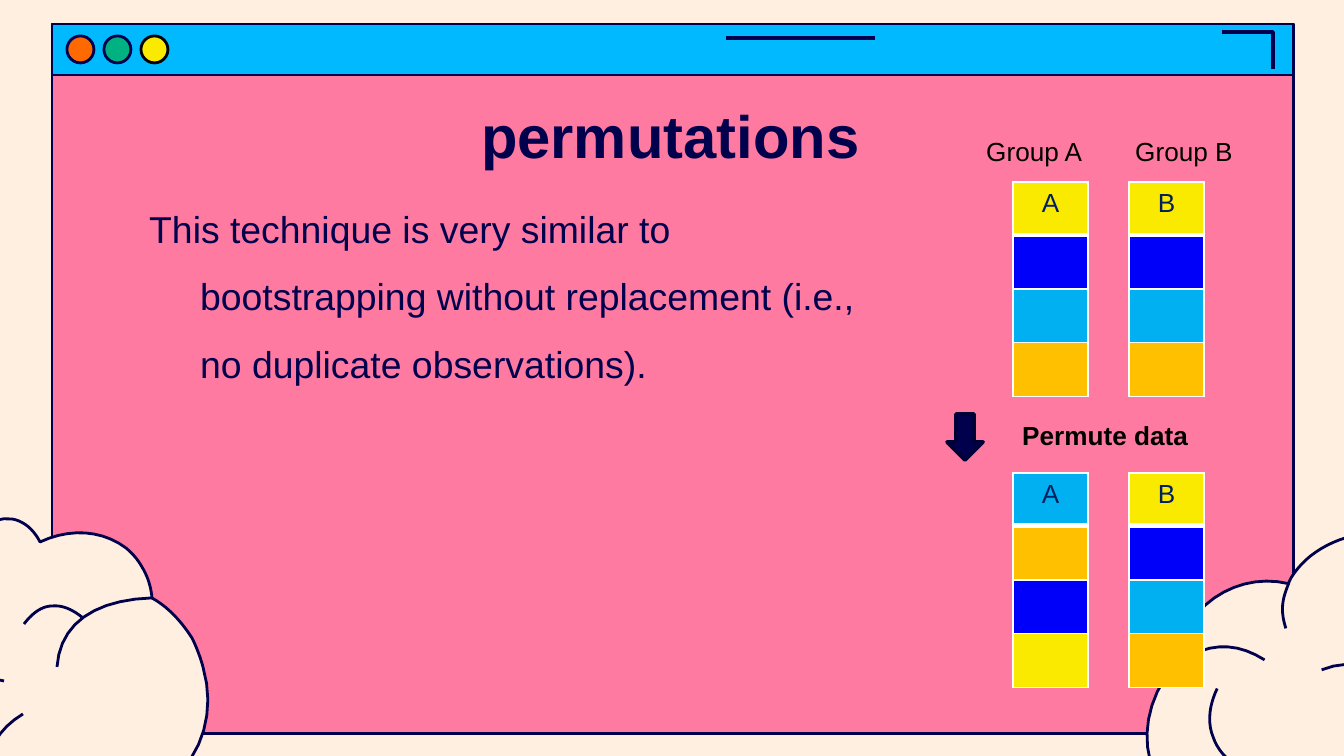
import math

from pptx import Presentation
from pptx.dml.color import RGBColor
from pptx.enum.shapes import MSO_CONNECTOR, MSO_SHAPE
from pptx.enum.text import PP_ALIGN
from pptx.oxml.ns import qn
from pptx.oxml.xmlchemy import OxmlElement
from pptx.util import Pt

RECT, OVAL, ARROW = MSO_SHAPE.RECTANGLE, MSO_SHAPE.OVAL, MSO_SHAPE.RIGHT_ARROW
STRAIGHT = MSO_CONNECTOR.STRAIGHT
LEFT, CENTER = PP_ALIGN.LEFT, PP_ALIGN.CENTER

W, H = 1344, 756
PX = 9144000 / W

THEME = {
    "cream": "FFEFE1", "pink": "FF7AA1", "sky": "00B9FF", "ink": "00004D",
    "orange": "FF6A00", "green": "00B181", "yellow": "FAEA00", "black": "000000",
    "blue": "0000FA", "cyan": "00B0F0", "amber": "FFC000", "white": "FFFFFF",
    "navy": "002060", "edge": "000039",
    "title": {"name": "Arial", "size": Pt(32), "bold": True},
    "body": {"name": "Arial", "size": Pt(20), "bold": False},
    "label": {"name": "Arial", "size": Pt(14), "bold": False},
    "strong": {"name": "Arial", "size": Pt(14), "bold": True},
}


def paint(sp, fill, line="ink", width=1.5):
    sp.shadow.inherit = False
    if fill:
        sp.fill.solid()
        sp.fill.fore_color.rgb = RGBColor.from_string(THEME[fill])
    else:
        sp.fill.background()
    sp.line.color.rgb = RGBColor.from_string(THEME[line])
    sp.line.width = Pt(width)


def write(tf, text, style, color, align=LEFT):
    """Put one formatted run in the first paragraph and return the paragraph."""
    p = tf.paragraphs[0]
    p.alignment = align
    r = p.add_run()
    r.text = text
    for name, value in THEME[style].items():
        setattr(r.font, name, value)
    r.font.color.rgb = RGBColor.from_string(THEME[color])
    return p


prs = Presentation()
prs.slide_width, prs.slide_height = round(W * PX), round(H * PX)
s = prs.slides.add_slide(prs.slide_layouts[6])
s.background.fill.solid()
s.background.fill.fore_color.rgb = RGBColor.from_string(THEME["cream"])

# Window frame, title bar and its buttons
for kind, box, fill, line in [
    (RECT, (52, 24, 1242, 710), "pink", "ink"),
    (RECT, (52, 24, 1242, 51), "sky", "ink"),
    (OVAL, (67, 36, 27, 27), "orange", "ink"),
    (OVAL, (104, 36, 27, 27), "green", "ink"),
    (OVAL, (141, 36, 27, 27), "yellow", "black"),
]:
    sp = s.shapes.add_shape(kind, *(round(v * PX) for v in box))
    paint(sp, fill, line)

bar = s.shapes.add_connector(STRAIGHT, *(round(v * PX) for v in (726, 38, 875, 38)))
bar.line.color.rgb = RGBColor.from_string(THEME["ink"])
bar.line.width = Pt(2)
bar._element.spPr.append(OxmlElement("a:effectLst"))

fb = s.shapes.build_freeform(1222, 32, scale=PX)
fb.add_line_segments([(1273, 32), (1273, 69)], close=False)
paint(fb.convert_to_shape(), None, width=2)

# One cloud: start point, then three Bezier points per curve
CLOUD_CENTER = (60, 677)
CLOUD_OUTLINE = [
    (-43, 765), (-35, 780), (-24, 790), (-11, 798), (-9, 802), (-7, 808), (-4, 812),
    (23, 856), (74, 875), (112, 853), (132, 841), (144, 818), (146, 793),
    (194, 777), (219, 722), (203, 667), (200, 656), (196, 646), (192, 638),
    (181, 621), (168, 607), (152, 598), (151, 587), (148, 577), (142, 567),
    (138, 560), (133, 554), (126, 548), (102, 530), (70, 528), (40, 542),
    (34, 530), (24, 521), (12, 519), (-16, 515), (-44, 546), (-51, 587),
    (-55, 610), (-51, 633), (-42, 649), (-40, 653), (-38, 656), (-35, 659),
    (-59, 688), (-63, 730), (-43, 765),
]
CLOUD_FOLDS = [
    [(57, 667), (60, 624), (94, 600), (152, 598)],
    [(-11, 798), (-19, 761), (-8, 733), (23, 714)],
    [(-35, 659), (-24, 671), (-16, 678), (4, 681)],
    [(24, 624), (33, 612), (43, 606), (52, 606), (62, 605), (72, 609), (83, 618)],
    [(28, 769), (38, 782), (53, 793), (70, 794), (86, 796), (102, 790), (116, 778)],
]
STEPS = 10
for cx, cy, angle in [(60, 677, 0), (1314, 677, 64)]:
    cos, sin = math.cos(math.radians(angle)), math.sin(math.radians(angle))
    for curve in [CLOUD_OUTLINE, *CLOUD_FOLDS]:
        offsets = [(x - CLOUD_CENTER[0], y - CLOUD_CENTER[1]) for x, y in curve]
        knots = [(cx + x * cos - y * sin, cy + x * sin + y * cos) for x, y in offsets]
        if not any(0 < x < W and 0 < y < H for x, y in knots):
            continue
        points = [knots[0]]
        for i in range(0, len(knots) - 1, 3):
            for step in range(1, STEPS + 1):
                t = step / STEPS
                weights = ((1 - t) ** 3, 3 * t * (1 - t) ** 2, 3 * t * t * (1 - t), t ** 3)
                points.append(tuple(
                    sum(w * k[axis] for w, k in zip(weights, knots[i:i + 4]))
                    for axis in (0, 1)))
        emu = [(round(x * PX), round(y * PX)) for x, y in points]
        closed = curve is CLOUD_OUTLINE
        fb = s.shapes.build_freeform(*emu[0], scale=1.0)
        fb.add_line_segments(emu[1:], close=closed)
        paint(fb.convert_to_shape(), "cream" if closed else None)

# Texts
INSET = round(13 * PX)
for box, text, style, color, align in [
    ((102, 86, 1137, 85), "permutations", "title", "ink", CENTER),
    ((120, 171, 797, 472),
     "This technique is very similar to bootstrapping without replacement "
     "(i.e., no duplicate observations).", "body", "ink", LEFT),
    ((973, 129, 461, 46), "Group A\tGroup B", "label", "black", LEFT),
    ((1009, 413, 461, 46), "Permute data", "strong", "black", LEFT),
]:
    tf = s.shapes.add_textbox(*(round(v * PX) for v in box)).text_frame
    tf.word_wrap = True
    p = write(tf, text, style, color, align)
    if style in ("title", "body"):
        tf.margin_top = tf.margin_bottom = INSET
    if style == "body":
        p.line_spacing = 1.5
        pPr = p._p.get_or_add_pPr()
        pPr.set("marL", str(round(67 * PX)))
        pPr.set("indent", str(round(-51 * PX)))
    if "\t" in text:
        tabs = OxmlElement("a:tabLst")
        tab = OxmlElement("a:tab")
        tab.set("pos", str(round(149 * PX)))
        tab.set("algn", "l")
        tabs.append(tab)
        p._p.get_or_add_pPr().append(tabs)

# Group columns before and after permuting
COL_W, ROW_H = 75, 53
ordered = ["yellow", "blue", "cyan", "amber"]
permuted = ["cyan", "amber", "blue", "yellow"]
for x, y, head, fills in [
    (1013, 182, "A", ordered), (1129, 182, "B", ordered),
    (1013, 473, "A", permuted), (1129, 473, "B", ordered),
]:
    box = (x, y, COL_W, ROW_H * len(fills))
    table = s.shapes.add_table(len(fills), 1, *(round(v * PX) for v in box)).table
    table.first_row = table.horz_banding = False
    for i, fill in enumerate(fills):
        cell = table.cell(i, 0)
        if i == 0:
            write(cell.text_frame, head, "label", "navy", CENTER)
        tcPr = cell._tc.get_or_add_tcPr()
        for side in ("lnL", "lnR", "lnT", "lnB"):
            ln = OxmlElement(f"a:{side}")
            ln.set("w", str(Pt(3 if i == 0 and side == "lnB" else 1)))
            solid = OxmlElement("a:solidFill")
            clr = OxmlElement("a:srgbClr")
            clr.set("val", THEME["white"])
            solid.append(clr)
            ln.append(solid)
            tcPr.append(ln)
        cell.fill.solid()
        cell.fill.fore_color.rgb = RGBColor.from_string(THEME[fill])
        # Borders come before the fill in the cell properties
        tcPr.append(tcPr.find(qn("a:solidFill")))

arrow = s.shapes.add_shape(ARROW, *(round(v * PX) for v in (942, 419, 46, 36)))
arrow.rotation = 90
paint(arrow, "ink", "edge", 2)

prs.save("out.pptx")
